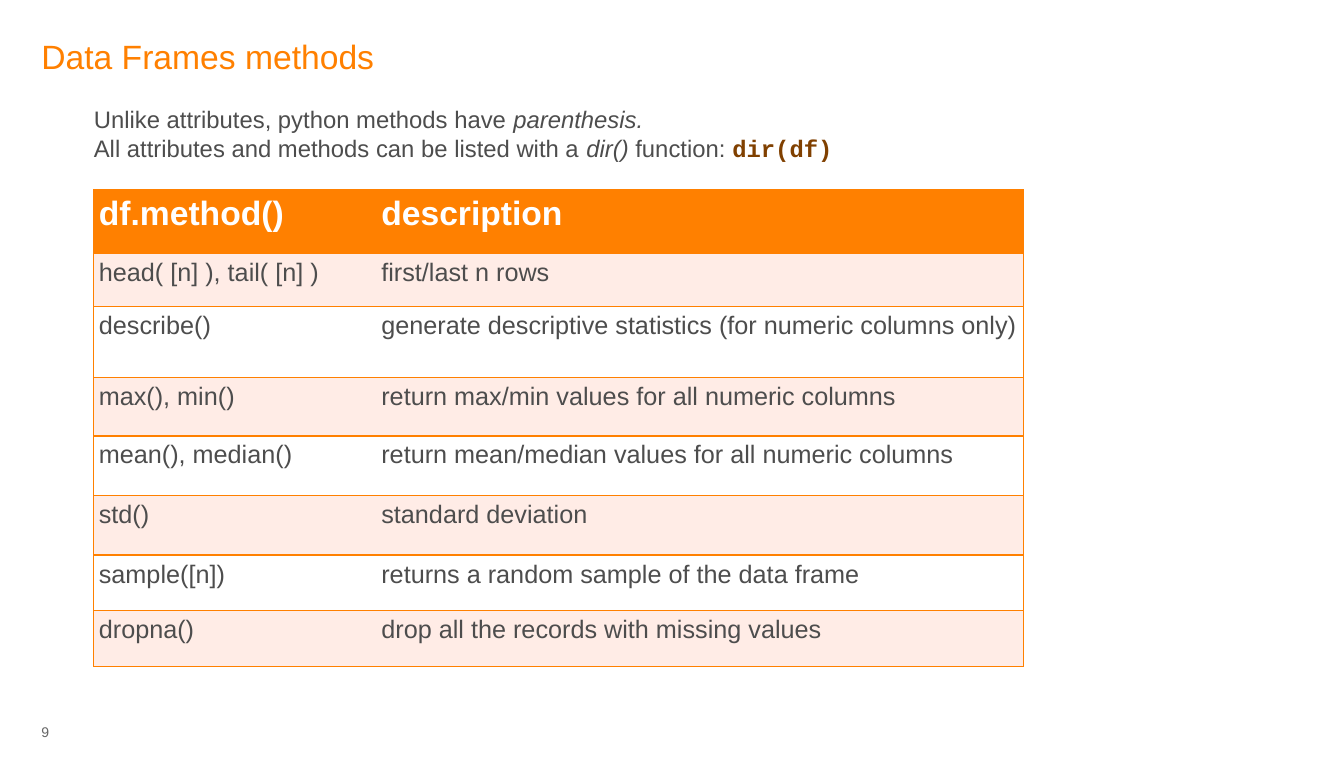
import dataclasses

import pptx
import pptx.dml.color
import pptx.enum.text
import pptx.oxml
import pptx.oxml.ns
import pptx.util

SLIDE_WIDTH = pptx.util.Inches(13.32)
SLIDE_HEIGHT = pptx.util.Inches(7.5)
INSET = pptx.util.Inches(0.05)


@dataclasses.dataclass(frozen=True)
class Theme:
    accent: str = "FF8000"
    code: str = "804000"
    text: str = "4D4D4D"
    muted: str = "666666"
    white: str = "FFFFFF"
    band: str = "FFECE6"
    font: str = "Arial"
    code_font: str = "Courier New"
    title_size: int = 24
    table_size: int = 18
    intro_size: int = 17
    number_size: int = 10
    border_width: int = 1


THEME = Theme()

HEADER = ("df.method()", "description")
METHODS = [
    ("head( [n] ), tail( [n] )", "first/last n rows"),
    ("describe()", "generate descriptive statistics (for numeric columns only)"),
    ("max(), min()", "return max/min values for all numeric columns"),
    ("mean(), median()", "return mean/median values for all numeric columns"),
    ("std()", "standard deviation"),
    ("sample([n])", "returns a random sample of the data frame"),
    ("dropna()", "drop all the records with missing values"),
]
COLUMN_WIDTHS = (21.02, 48.14)
ROW_HEIGHTS = (8.4, 7.07, 9.33, 7.73, 7.87, 7.87, 7.33, 7.4)

CODE_STYLE = {"font": THEME.code_font, "color": THEME.code, "bold": True}
INTRO = [
    [("Unlike attributes, python methods have ", {}),
     ("parenthesis.", {"italic": True})],
    [("All attributes and methods can be listed with a ", {}),
     ("dir() ", {"italic": True}),
     ("function: ", {}),
     ("dir(df)", CODE_STYLE)],
]


def across(percent):
    """Length of a share of the slide's width."""
    return int(SLIDE_WIDTH * percent / 100)


def down(percent):
    """Length of a share of the slide's height."""
    return int(SLIDE_HEIGHT * percent / 100)


def place(left, top, width, height):
    return across(left), down(top), across(width), down(height)


def rgb(color):
    return pptx.dml.color.RGBColor.from_string(color)


def add_run(paragraph, text, size, color, font=THEME.font, bold=False, italic=False):
    run = paragraph.add_run()
    run.text = text
    run.font.size = pptx.util.Pt(size)
    run.font.name = font
    run.font.bold = bold
    run.font.italic = italic
    run.font.color.rgb = rgb(color)


def set_insets(frame, inset):
    frame.margin_left = frame.margin_right = inset
    frame.margin_top = frame.margin_bottom = inset


def add_title(slide, text):
    title = slide.shapes.title
    title.left, title.top, title.width, title.height = place(3.08, 4.27, 94, 6.27)
    frame = title.text_frame
    set_insets(frame, 0)
    frame.vertical_anchor = pptx.enum.text.MSO_ANCHOR.MIDDLE
    paragraph = frame.paragraphs[0]
    paragraph.alignment = pptx.enum.text.PP_ALIGN.LEFT
    add_run(paragraph, text, THEME.title_size, THEME.accent)


def add_text(slide, position, lines, size, color, inset=0, wrap=True):
    """Add a text box; each line is a list of (text, style) runs."""
    frame = slide.shapes.add_textbox(*position).text_frame
    frame.word_wrap = wrap
    frame.auto_size = pptx.enum.text.MSO_AUTO_SIZE.SHAPE_TO_FIT_TEXT
    set_insets(frame, inset)
    for index, line in enumerate(lines):
        paragraph = frame.add_paragraph() if index else frame.paragraphs[0]
        for text, style in line:
            add_run(paragraph, text, **{"size": size, "color": color, **style})


def set_borders(cell, visible_sides):
    """Draw the given sides (of L, R, T, B) and clear the others."""
    properties = cell._tc.get_or_add_tcPr()
    width = pptx.util.Pt(THEME.border_width)
    namespace = pptx.oxml.ns.nsdecls("a")
    for index, side in enumerate("LRTB"):
        paint = "<a:noFill/>"
        if side in visible_sides:
            paint = f'<a:solidFill><a:srgbClr val="{THEME.accent}"/></a:solidFill>'
        line = f'<a:ln{side} {namespace} w="{width}">{paint}</a:ln{side}>'
        properties.insert(index, pptx.oxml.parse_xml(line))


def fill_cell(cell, text, fill, size, color, bold):
    cell.fill.solid()
    cell.fill.fore_color.rgb = rgb(fill)
    set_insets(cell, INSET)
    add_run(cell.text_frame.paragraphs[0], text, size, color, bold=bold)


def add_method_table(slide):
    rows = [HEADER, *METHODS]
    position = place(6.98, 25.07, sum(COLUMN_WIDTHS), sum(ROW_HEIGHTS))
    table = slide.shapes.add_table(len(rows), len(HEADER), *position).table
    table.horz_banding = False
    for column, width in zip(table.columns, COLUMN_WIDTHS):
        column.width = across(width)
    for row, height in zip(table.rows, ROW_HEIGHTS):
        row.height = down(height)
    for row_index, texts in enumerate(rows):
        if row_index == 0:
            style = (THEME.accent, THEME.title_size, THEME.white, True)
        else:
            fill = THEME.band if row_index % 2 else THEME.white
            style = (fill, THEME.table_size, THEME.text, False)
        for column_index, text in enumerate(texts):
            cell = table.cell(row_index, column_index)
            fill_cell(cell, text, *style)
            set_borders(cell, "RTB" if column_index else "LTB")


def main():
    presentation = pptx.Presentation()
    presentation.slide_width = SLIDE_WIDTH
    presentation.slide_height = SLIDE_HEIGHT
    title_only = presentation.slide_layouts.get_by_name("Title Only")
    slide = presentation.slides.add_slide(title_only)

    add_title(slide, "Data Frames methods")
    add_text(slide, place(3.08, 95.6, 1.05, 2), [[("9", {})]],
             THEME.number_size, THEME.muted, wrap=False)
    add_method_table(slide)
    add_text(slide, place(6.61, 13.2, 60.66, 8.93), INTRO,
             THEME.intro_size, THEME.text, inset=INSET)

    presentation.save("out.pptx")


if __name__ == "__main__":
    main()
